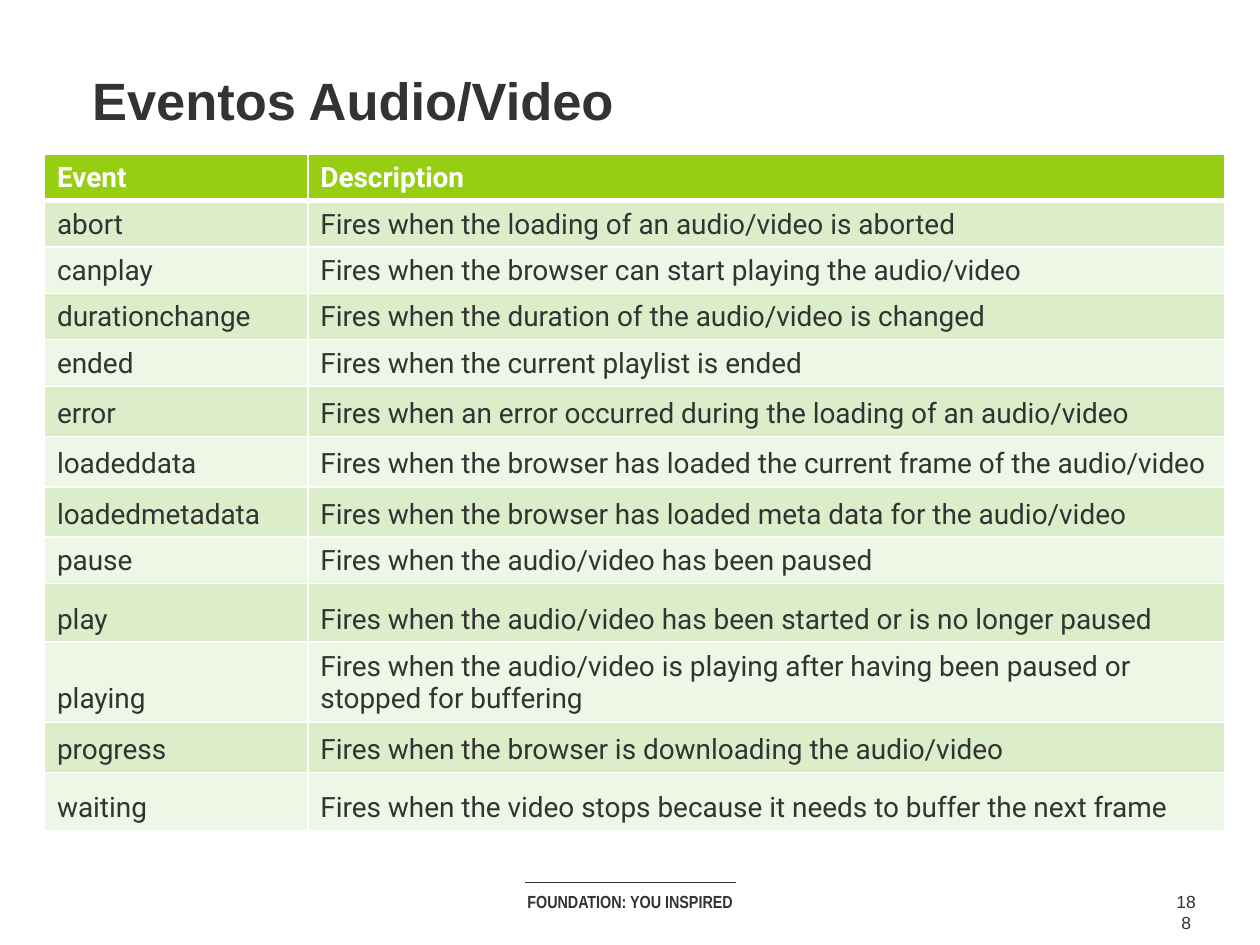
import pptx
import pptx.dml.color
import pptx.enum.shapes
import pptx.enum.text
import pptx.oxml.ns
import pptx.util
from dataclasses import dataclass
from lxml import etree

Pt = pptx.util.Pt
ALIGN = pptx.enum.text.PP_ALIGN
ANCHOR = pptx.enum.text.MSO_ANCHOR
DARK, WHITE = "333333", "FFFFFF"
HEADER_FILL = "96CF12"
BAND_FILLS = ("DCEDCA", "EEF6E6")


@dataclass
class Row:
    event: str
    description: str
    height: float = 26.5


@dataclass
class FooterLabel:
    text: str
    left: float
    width: float
    style: dict


ROWS = [
    Row("Event", "Description"),
    Row("abort", "Fires when the loading of an audio/video is aborted"),
    Row("canplay", "Fires when the browser can start playing the audio/video"),
    Row("durationchange", "Fires when the duration of the audio/video is changed"),
    Row("ended", "Fires when the current playlist is ended"),
    Row("error", "Fires when an error occurred during the loading of an audio/video", 28.8),
    Row("loadeddata", "Fires when the browser has loaded the current frame of the audio/video", 28.8),
    Row("loadedmetadata", "Fires when the browser has loaded meta data for the audio/video", 28.8),
    Row("pause", "Fires when the audio/video has been paused"),
    Row("play", "Fires when the audio/video has been started or is no longer paused", 33.5),
    Row("playing", "Fires when the audio/video is playing after having been paused "
        "or stopped for buffering", 45.2),
    Row("progress", "Fires when the browser is downloading the audio/video", 28.8),
    Row("waiting", "Fires when the video stops because it needs to buffer the next frame", 33.5),
]
FOOTER_LABELS = [
    FooterLabel("FOUNDATION: YOU INSPIRED", 264, 192,
                {"name": "Arial Narrow", "size": Pt(10), "bold": True}),
    FooterLabel("188", 664.5, 26.6, {"name": "Arial", "size": Pt(10), "bold": False}),
]


def rgb(color: str) -> pptx.dml.color.RGBColor:
    return pptx.dml.color.RGBColor.from_string(color)


def apply_format(target, values: dict) -> None:
    for attribute, value in values.items():
        setattr(target, attribute, value)


def write(paragraph, text: str, style: dict, color: str) -> None:
    run = paragraph.add_run()
    run.text = text
    apply_format(run.font, style)
    run.font.color.rgb = rgb(color)


def draw_title(slide, text: str) -> None:
    title = slide.shapes.title
    apply_format(title, {"left": Pt(45.4), "top": Pt(32.4), "width": Pt(449.3), "height": Pt(37.4)})
    apply_format(title.text_frame, {"word_wrap": True, "vertical_anchor": ANCHOR.TOP,
                                    "auto_size": pptx.enum.text.MSO_AUTO_SIZE.NONE,
                                    "margin_top": Pt(6.6)})
    paragraph = title.text_frame.paragraphs[0]
    apply_format(paragraph, {"alignment": ALIGN.LEFT, "line_spacing": 1.0, "space_before": Pt(0)})
    write(paragraph, text, {"name": "Arial", "size": Pt(30), "bold": True}, DARK)


def draw_border(cell, side: str, width: float) -> None:
    border = etree.SubElement(cell._tc.get_or_add_tcPr(), pptx.oxml.ns.qn(f"a:ln{side}"),
                              w=str(int(Pt(width))))
    fill = etree.SubElement(border, pptx.oxml.ns.qn("a:solidFill"))
    etree.SubElement(fill, pptx.oxml.ns.qn("a:srgbClr"), val=WHITE)


def draw_event_table(slide, rows: list[Row]) -> None:
    column_widths = (150.5, 524.1)
    table = slide.shapes.add_table(len(rows), len(column_widths), Pt(25.4), Pt(88.2),
                                   Pt(sum(column_widths)),
                                   Pt(sum(row.height for row in rows))).table
    for column, width in zip(table.columns, column_widths):
        column.width = Pt(width)
    for index, row in enumerate(rows):
        table.rows[index].height = Pt(row.height)
        is_header = index == 0
        fill = HEADER_FILL if is_header else BAND_FILLS[(index - 1) % 2]
        borders = {"L": 1, "R": 1, "T": 3 if index == 1 else 1, "B": 3 if is_header else 1}
        for position, text in enumerate((row.event, row.description)):
            cell = table.cell(index, position)
            cell.vertical_anchor = ANCHOR.BOTTOM
            for side, width in borders.items():
                draw_border(cell, side, width)
            cell.fill.solid()
            cell.fill.fore_color.rgb = rgb(fill)
            write(cell.text_frame.paragraphs[0], text,
                  {"name": "Roboto", "size": Pt(16), "bold": is_header},
                  WHITE if is_header else DARK)


def draw_footer_label(slide, label: FooterLabel) -> None:
    frame = slide.shapes.add_textbox(Pt(label.left), Pt(505.4), Pt(label.width), Pt(19.4)).text_frame
    frame.word_wrap = True
    paragraph = frame.paragraphs[0]
    paragraph.alignment = ALIGN.CENTER
    write(paragraph, label.text, label.style, DARK)


def draw_footer_rule(slide) -> None:
    rule = slide.shapes.add_connector(pptx.enum.shapes.MSO_CONNECTOR.STRAIGHT,
                                      Pt(300), Pt(504.4), Pt(420.5), Pt(504.4))
    rule.line.width = Pt(0.75)
    rule.line.color.rgb = rgb(DARK)
    etree.SubElement(rule._element.spPr, pptx.oxml.ns.qn("a:effectLst"))


def main() -> None:
    presentation = pptx.Presentation()
    apply_format(presentation, {"slide_width": Pt(720), "slide_height": Pt(540)})
    slide = presentation.slides.add_slide(presentation.slide_layouts[5])
    draw_footer_rule(slide)
    for label in FOOTER_LABELS:
        draw_footer_label(slide, label)
    draw_title(slide, "Eventos Audio/Video")
    draw_event_table(slide, ROWS)
    presentation.save("out.pptx")


if __name__ == "__main__":
    main()
